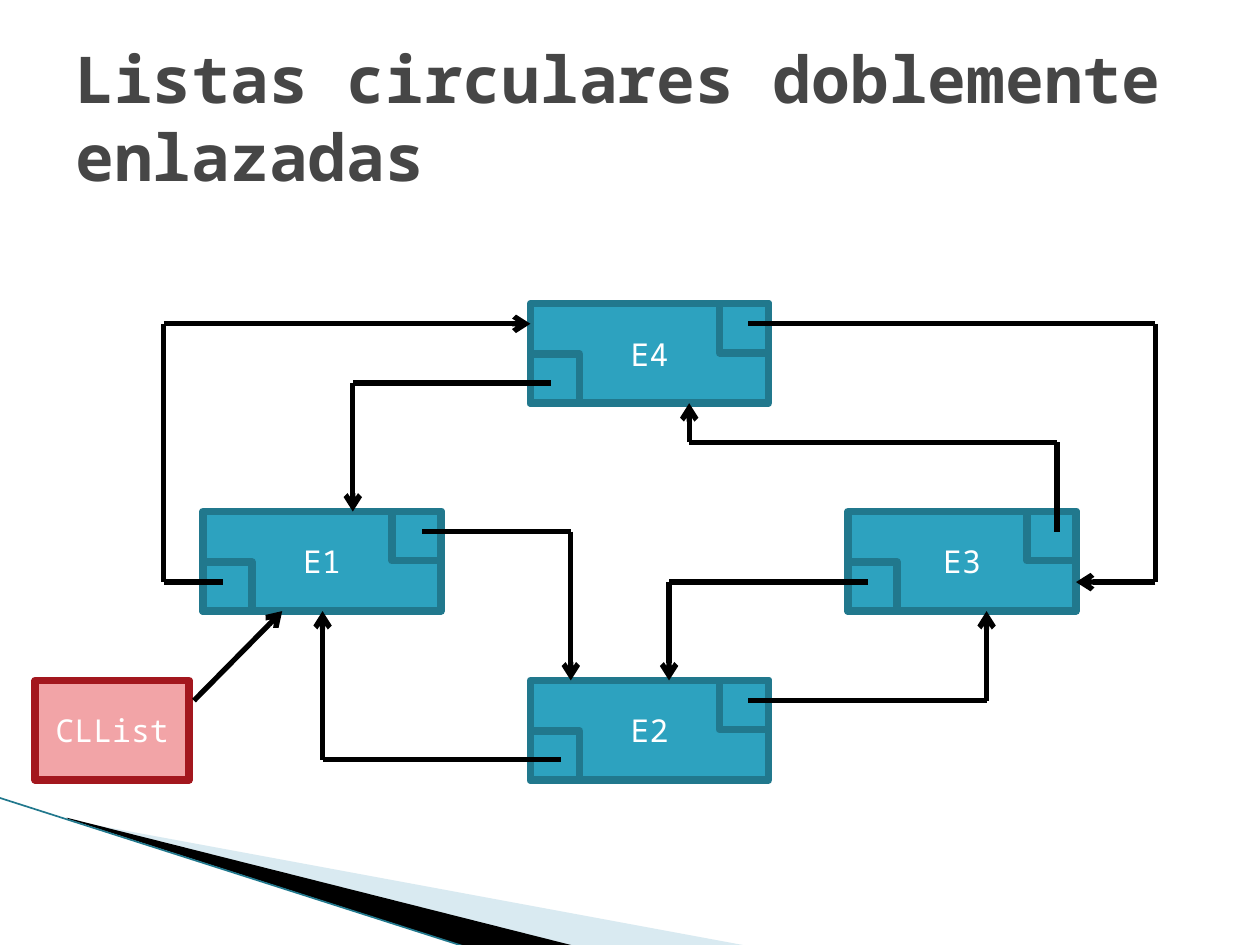
from itertools import pairwise

from lxml.etree import SubElement
from pptx import Presentation
from pptx.dml.color import RGBColor
from pptx.enum.shapes import MSO_CONNECTOR as Connector, MSO_SHAPE as Shape
from pptx.enum.text import MSO_ANCHOR as Anchor, PP_ALIGN as Align
from pptx.oxml.ns import qn
from pptx.util import Inches, Pt

FONT = "Noto Sans Mono"
NODE_FILL, NODE_LINE = "2DA2BF", "21788D"
NODE_HEIGHT, CELL = 0.79, 0.39


def paint(color_format, color):
    color_format.rgb = RGBColor.from_string(color)


def fill_solid(shape, color):
    shape.fill.solid()
    paint(shape.fill.fore_color, color)


def add_text(frame, text, size, color, align, bold=False):
    frame.word_wrap = True
    frame.vertical_anchor = Anchor.MIDDLE
    para = frame.paragraphs[0]
    para.alignment = align
    span = para.add_run()
    span.text = text
    span.font.name, span.font.size, span.font.bold = FONT, Pt(size), bold
    paint(span.font.color, color)


def add_box(page, box, fill, line, label=""):
    shape = page.shapes.add_shape(Shape.RECTANGLE, *map(Inches, box))
    shape.shadow.inherit = False
    fill_solid(shape, fill)
    paint(shape.line.color, line)
    shape.line.width = Pt(4.33)
    SubElement(shape.line._get_or_add_ln(), qn("a:round"))
    if label:
        add_text(shape.text_frame, label, 18, "FFFFFF", Align.CENTER)


def add_node(page, left, top, width, label):
    """A list element with its next cell (top right) and previous cell (bottom left)."""
    cells = [(left + width - CELL, top), (left, top + NODE_HEIGHT - CELL)]
    add_box(page, (left, top, width, NODE_HEIGHT), NODE_FILL, NODE_LINE, label)
    for x, y in cells:
        add_box(page, (x, y, CELL, CELL), NODE_FILL, NODE_LINE)


def add_line(page, start, end, color="000000", width=3):
    line = page.shapes.add_connector(Connector.STRAIGHT, *map(Inches, start + end))
    paint(line.line.color, color)
    line.line.width = Pt(width)
    SubElement(line._element.spPr, qn("a:effectLst"))
    return line


def add_route(page, points):
    """Straight segments through the points, with an arrowhead on the last."""
    for start, end in pairwise(points):
        line = add_line(page, start, end)
    SubElement(line.line._get_or_add_ln(), qn("a:tailEnd"), type="arrow")


def add_wedge(page, points, color, opacity=100):
    start, *rest = [(Inches(x), Inches(y)) for x, y in points]
    builder = page.shapes.build_freeform(*start, scale=1.0)
    builder.add_line_segments(rest, close=True)
    wedge = builder.convert_to_shape()
    wedge.shadow.inherit = False
    fill_solid(wedge, color)
    wedge.line.fill.background()
    if opacity < 100:
        tint = wedge._element.spPr.find(".//" + qn("a:srgbClr"))
        SubElement(tint, qn("a:alpha"), val=str(opacity * 1000))


def add_corner(page, left, top):
    """Decorative wedges in the bottom left corner."""
    def place(*points):
        return [(left + x, top + y) for x, y in points]

    add_wedge(page, place((0.55, 0.18), (5.95, 1.18), (4.56, 1.18), (0.55, 0.17)), "A0CBDC", 40)
    add_wedge(page, place((0.53, 0.16), (4.57, 1.18), (3.72, 1.19), (0.54, 0.17)), "000000")
    add_line(page, *place((-0.01, 0), (3.71, 1.19)), NODE_LINE, 0.95)


def add_title(page, box, text):
    title = page.shapes.add_textbox(*map(Inches, box))
    add_text(title.text_frame, text, 36.9, "464646", Align.LEFT, bold=True)


def add_diagram(page, left, top):
    """Four linked elements and the list head, relative to the diagram's corner."""
    add_box(page, (left, top + 2.99, 1.22, NODE_HEIGHT), "F2A4A7", "A3171E", "CLList")
    nodes = [(1.33, 1.65, 1.89, "E1"), (3.93, 2.99, 1.89, "E2"),
             (6.45, 1.65, 1.81, "E3"), (3.93, 0, 1.89, "E4")]
    for x, y, width, label in nodes:
        add_node(page, left + x, top + y, width, label)

    routes = [
        [(4.17, 3.62), (2.28, 3.62), (2.28, 2.44)],              # E2 to E1
        [(5.66, 3.15), (7.55, 3.15), (7.55, 2.44)],              # E2 to E3
        [(6.61, 2.21), (5.03, 2.21), (5.03, 2.99)],              # E3 to E2
        [(8.11, 1.81), (8.11, 1.1), (5.19, 1.1), (5.19, 0.79)],  # E3 to E4
        [(4.09, 0.63), (2.52, 0.63), (2.52, 1.65)],              # E4 to E1
        [(1.49, 2.21), (1.02, 2.21), (1.02, 0.16), (3.93, 0.16)],  # E1 to E4
        [(5.66, 0.16), (8.89, 0.16), (8.89, 2.21), (8.26, 2.21)],  # E4 to E3
        [(1.26, 3.15), (1.96, 2.44)],                            # CLList to E1
        [(3.07, 1.81), (4.25, 1.81), (4.25, 2.99)],              # E1 to E2
    ]
    for route in routes:
        add_route(page, [(left + x, top + y) for x, y in route])


deck = Presentation()
deck.slide_width, deck.slide_height = Inches(10), Inches(7.5)
page = deck.slides.add_slide(deck.slide_layouts[6])

add_corner(page, 0, 6.33)
add_title(page, (0.5, 0.3, 9, 1.25), "Listas circulares doblemente enlazadas")
add_diagram(page, 0.28, 2.41)

deck.save("out.pptx")
